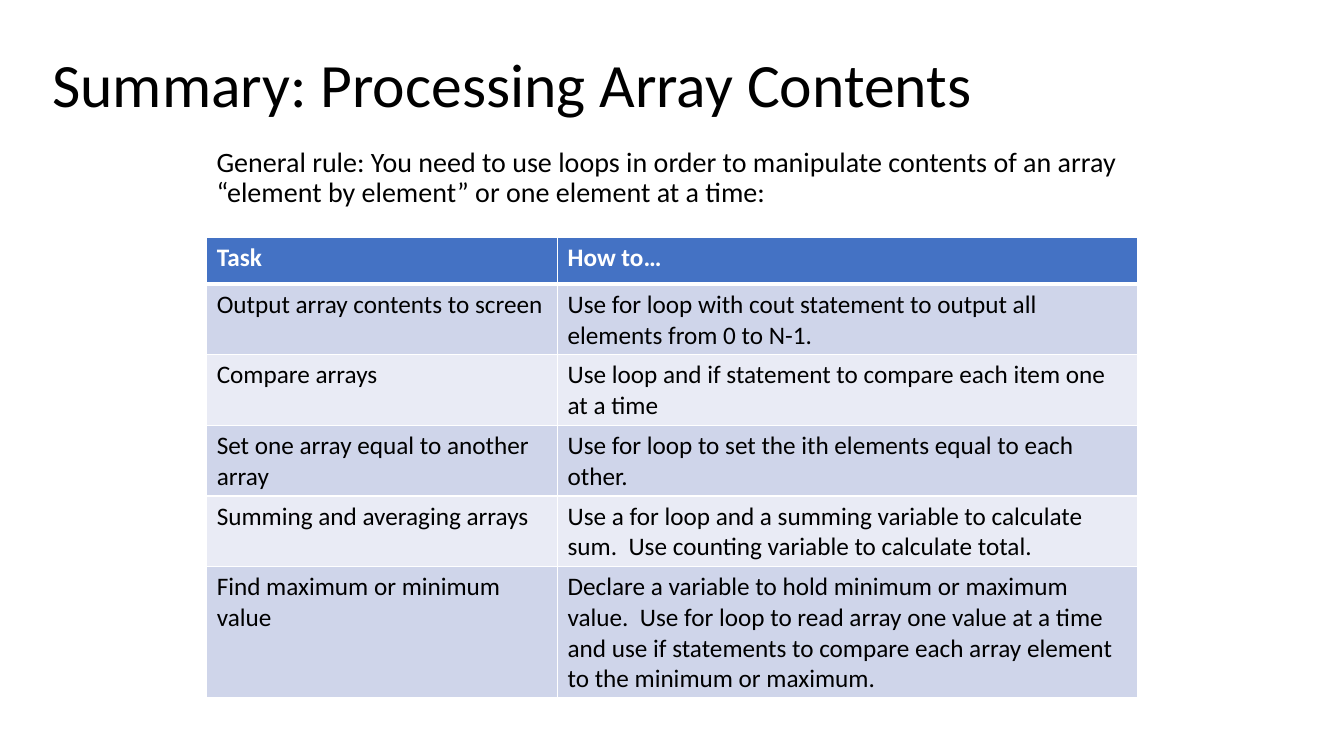
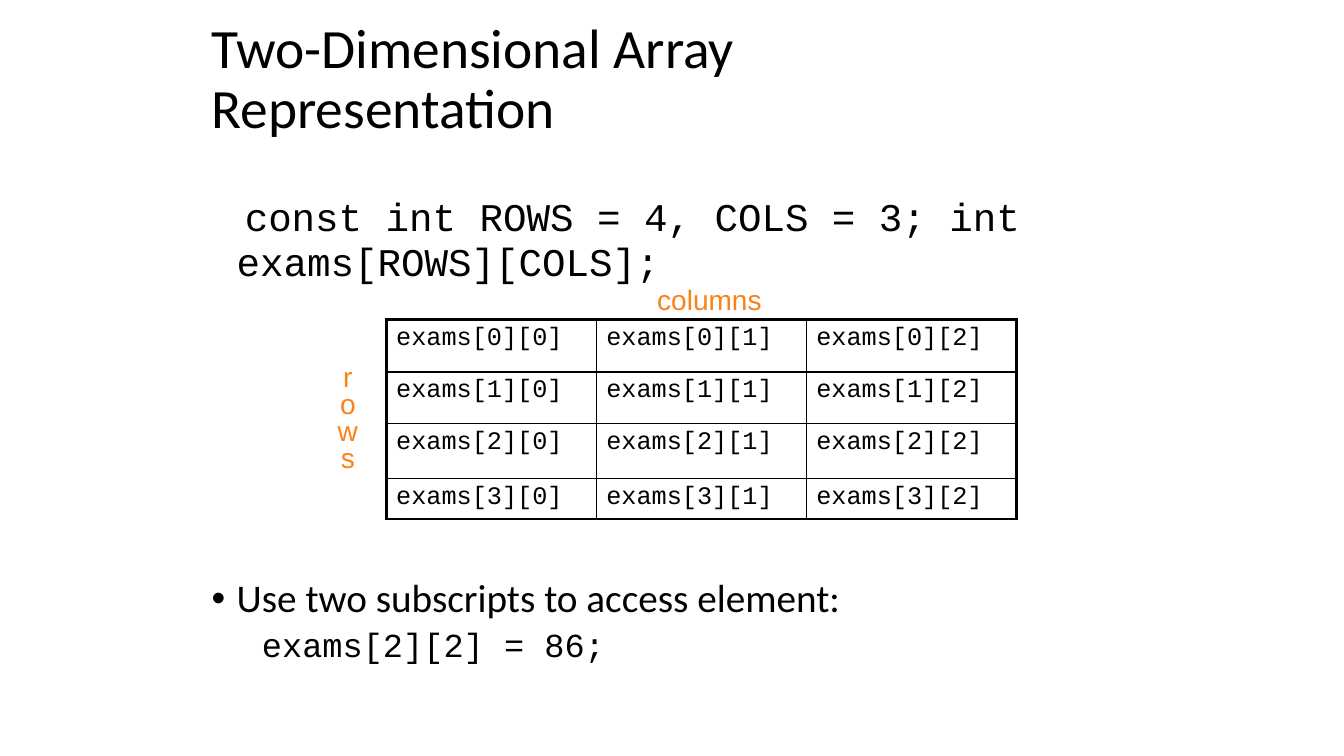
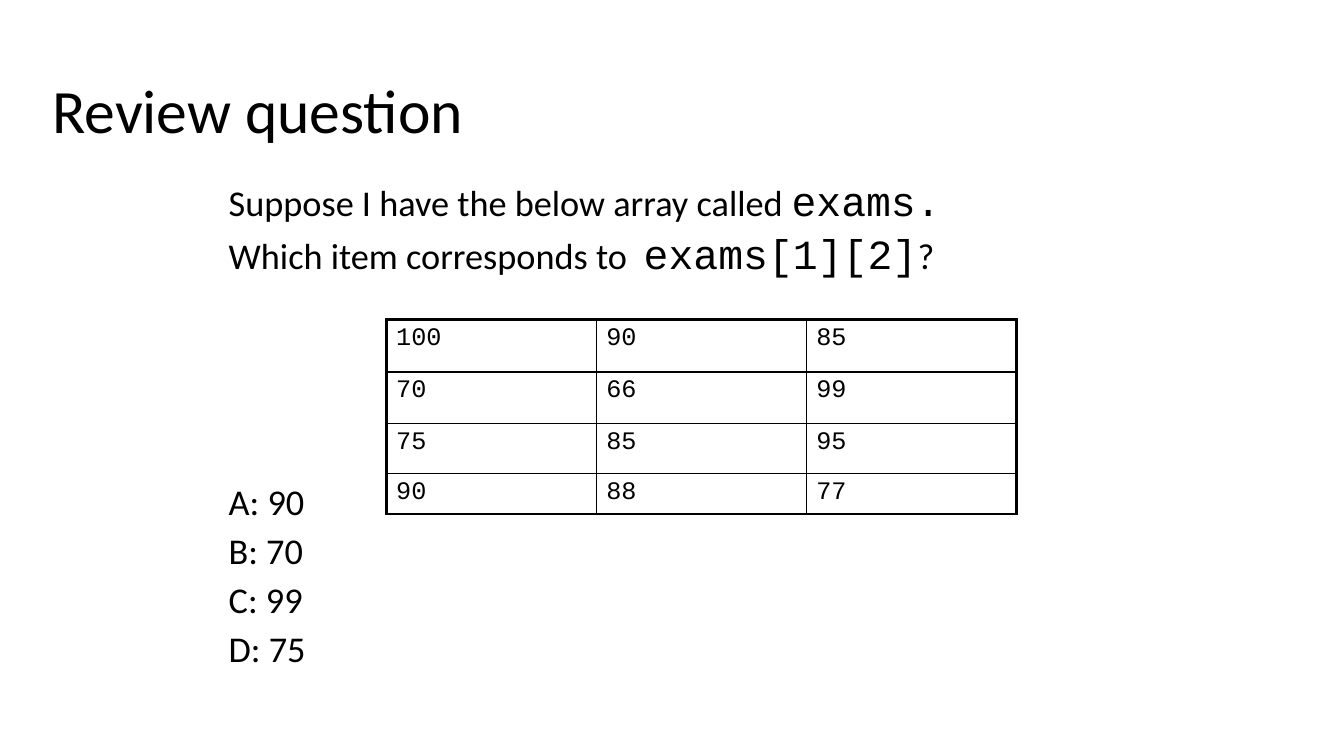
from lxml import etree
from pptx import Presentation
from pptx.dml.color import RGBColor
from pptx.enum.text import MSO_ANCHOR, MSO_AUTO_SIZE, PP_ALIGN
from pptx.oxml.ns import qn
from pptx.util import Inches, Pt

MIDDLE = MSO_ANCHOR.MIDDLE
GROW = MSO_AUTO_SIZE.SHAPE_TO_FIT_TEXT
CENTER = PP_ALIGN.CENTER

COLORS = {
    "text": "000000",
    "white": "FFFFFF",
    "header": "4472C4",
    "band_dark": "CFD5EA",
    "band_light": "E9EBF5",
    "label": "FA8218",
}
BODY_FONT, CODE_FONT, LABEL_FONT = "Calibri", "Courier New", "Arial"
TITLE_FRAME = {"vertical_anchor": MIDDLE}
LABEL_FRAME = {"word_wrap": False, "auto_size": GROW}
TITLE_LINES = {"line_spacing": 0.9}


def add_text(slide, box, paragraphs, frame_format=None, color="text"):
    """Add a text box; each paragraph is (runs, format), each run (text, font, size)."""
    shape = slide.shapes.add_textbox(*[Inches(length) for length in box])
    frame = shape.text_frame
    for name, value in {"word_wrap": True, **(frame_format or {})}.items():
        setattr(frame, name, value)
    for index, (runs, paragraph_format) in enumerate(paragraphs):
        paragraph = frame.paragraphs[0] if index == 0 else frame.add_paragraph()
        for name, value in paragraph_format.items():
            setattr(paragraph, name, value)
        for text, font, size in runs:
            run = paragraph.add_run()
            run.text = text
            run.font.name, run.font.size = font, Pt(size)
            run.font.color.rgb = RGBColor.from_string(COLORS[color])
    return frame


def add_grid(slide, box, widths, heights, rows, font, line_color, row_edges, column_edges, fills=None):
    """Add a table; edge lists give the width in points of every grid line."""
    graphic = slide.shapes.add_table(len(rows), len(widths), *[Inches(length) for length in box])
    table = graphic.table
    table.first_row = table.horz_banding = False
    for column, width in zip(table.columns, widths):
        column.width = Inches(width)
    for r, (height, texts) in enumerate(zip(heights, rows)):
        table.rows[r].height = Inches(height)
        is_header = bool(fills) and r == 0
        for c, text in enumerate(texts):
            cell = table.cell(r, c)
            cell.text = str(text)
            run_font = cell.text_frame.paragraphs[0].runs[0].font
            run_font.name, run_font.size, run_font.bold = font, Pt(18), is_header
            run_font.color.rgb = RGBColor.from_string(COLORS["white" if is_header else "text"])
            properties = cell._tc.get_or_add_tcPr()
            edges = {"L": column_edges[c], "R": column_edges[c + 1],
                     "T": row_edges[r], "B": row_edges[r + 1]}
            for side, points in edges.items():
                line = etree.SubElement(properties, qn("a:ln" + side), w=str(int(Pt(points))))
                line_fill = etree.SubElement(line, qn("a:solidFill"))
                etree.SubElement(line_fill, qn("a:srgbClr"), val=COLORS[line_color])
            if fills:
                cell.fill.solid()
                cell.fill.fore_color.rgb = RGBColor.from_string(COLORS[fills[r]])
            else:
                cell.fill.background()


presentation = Presentation()
presentation.slide_width = Inches(13.33)
presentation.slide_height = Inches(7.5)
blank_layout = presentation.slide_layouts[6]
summary, representation, review = [presentation.slides.add_slide(blank_layout) for _ in range(3)]

titles = [
    (summary, (0.42, 0.14, 12.5, 1.45), "Summary: Processing Array Contents", 44),
    (representation, (2, 0.17, 8.5, 1.25), "Two-Dimensional Array Representation", 39.6),
    (review, (0.42, 0.4, 12.5, 1.45), "Review question", 44),
]
for slide, box, title, size in titles:
    add_text(slide, box, [([(title, BODY_FONT, size)], TITLE_LINES)], TITLE_FRAME)

# Summary: tasks and how to do them
rule = ("General rule: You need to use loops in order to manipulate contents of an array "
        "“element by element” or one element at a time:")
add_text(summary, (2.05, 1.42, 9.23, 0.8),
         [([(rule, BODY_FONT, 20)], {"line_spacing": 0.9, "space_before": Pt(10)})])
tasks = [
    ("Task", "How to…"),
    ("Output array contents to screen",
     "Use for loop with cout statement to output all elements from 0 to N-1."),
    ("Compare arrays", "Use loop and if statement to compare each item one at a time"),
    ("Set one array equal to another array",
     "Use for loop to set the ith elements equal to each other."),
    ("Summing and averaging arrays",
     "Use a for loop and a summing variable to calculate sum.  "
     "Use counting variable to calculate total."),
    ("Find maximum or minimum value",
     "Declare a variable to hold minimum or maximum value.  Use for loop to read array one "
     "value at a time and use if statements to compare each array element to the minimum "
     "or maximum."),
]
bands = ["band_dark", "band_light"]
task_fills = ["header"] + [bands[index % 2] for index in range(len(tasks) - 1)]
add_grid(summary, (2.05, 2.36, 9.23, 4.56), [3.48, 5.75], [0.46] + [0.7] * 4 + [1.3], tasks,
         BODY_FONT, "white", [1, 3] + [1] * 5, [1] * 3, task_fills)

# Representation: declaration, then access by two subscripts
declaration = "const int ROWS = 4, COLS = 3; int exams[ROWS][COLS];"
body = add_text(representation, (2, 1.42, 8.5, 5.33), [
    ([(declaration, CODE_FONT, 28)], {"line_spacing": 0.95}),
    ([("Use two subscripts to access element:", BODY_FONT, 28)],
     {"line_spacing": 0.9, "space_before": Pt(210)}),
    ([("exams[2][2] = 86;", CODE_FONT, 24)],
     {"line_spacing": 0.9, "space_before": Pt(5), "level": 1}),
], {"margin_top": Inches(0.52)})
indents = [(0.25, 0.08), (0.25, -0.25), (0.75, -0.25)]
for paragraph, (margin, indent) in zip(body.paragraphs, indents):
    properties = paragraph._p.get_or_add_pPr()
    properties.set("marL", str(int(Inches(margin))))
    properties.set("indent", str(int(Inches(indent))))
bullet_properties = body.paragraphs[1]._p.get_or_add_pPr()
etree.SubElement(bullet_properties, qn("a:buFont"), typeface="Arial")
etree.SubElement(bullet_properties, qn("a:buChar"), char="•")

add_text(representation, (6.42, 2.75, 1.24, 0.43),
         [([("columns", LABEL_FONT, 20)], {})], LABEL_FRAME, "label")
add_text(representation, (3.25, 3.58, 0.4, 1.17),
         [([(letter, LABEL_FONT, 20)], {"alignment": CENTER, "line_spacing": 0.8})
          for letter in "rows"], LABEL_FRAME, "label")

# Review: question and answers
question_lines = {"line_spacing": 0.8, "space_before": Pt(10)}
answers = ["A: 90", "B: 70", "C: 99", "D: 75"]
question = [
    ([("Suppose I have the below array called ", BODY_FONT, 25.9),
      ("exams.", CODE_FONT, 29.6)], question_lines),
    ([("Which item corresponds to  ", BODY_FONT, 25.9), ("exams[1][2]", CODE_FONT, 29.6),
      ("?", BODY_FONT, 25.9)], question_lines),
]
for index, answer in enumerate(answers):
    gap = Pt(150 if index == 0 else 10)
    question.append(([(answer, BODY_FONT, 25.9)], {**question_lines, "space_before": gap}))
add_text(review, (2.17, 1.78, 9, 4.95), question)

# The exams array: element names, then values
element_names = [[f"exams[{r}][{c}]" for c in range(3)] for r in range(4)]
scores = [[100, 90, 85], [70, 66, 99], [75, 85, 95], [90, 88, 77]]
for slide, rows, third_height in [(representation, element_names, 0.55), (review, scores, 0.5)]:
    heights = [0.52, 0.51, third_height, 0.4]
    add_grid(slide, (3.83, 3.17, 6.25, sum(heights)), [6.25 / 3] * 3, heights, rows,
             CODE_FONT, "text", [2.25, 1, 1, 1, 2.25], [2.25, 1, 1, 2.25])

presentation.save("out.pptx")
